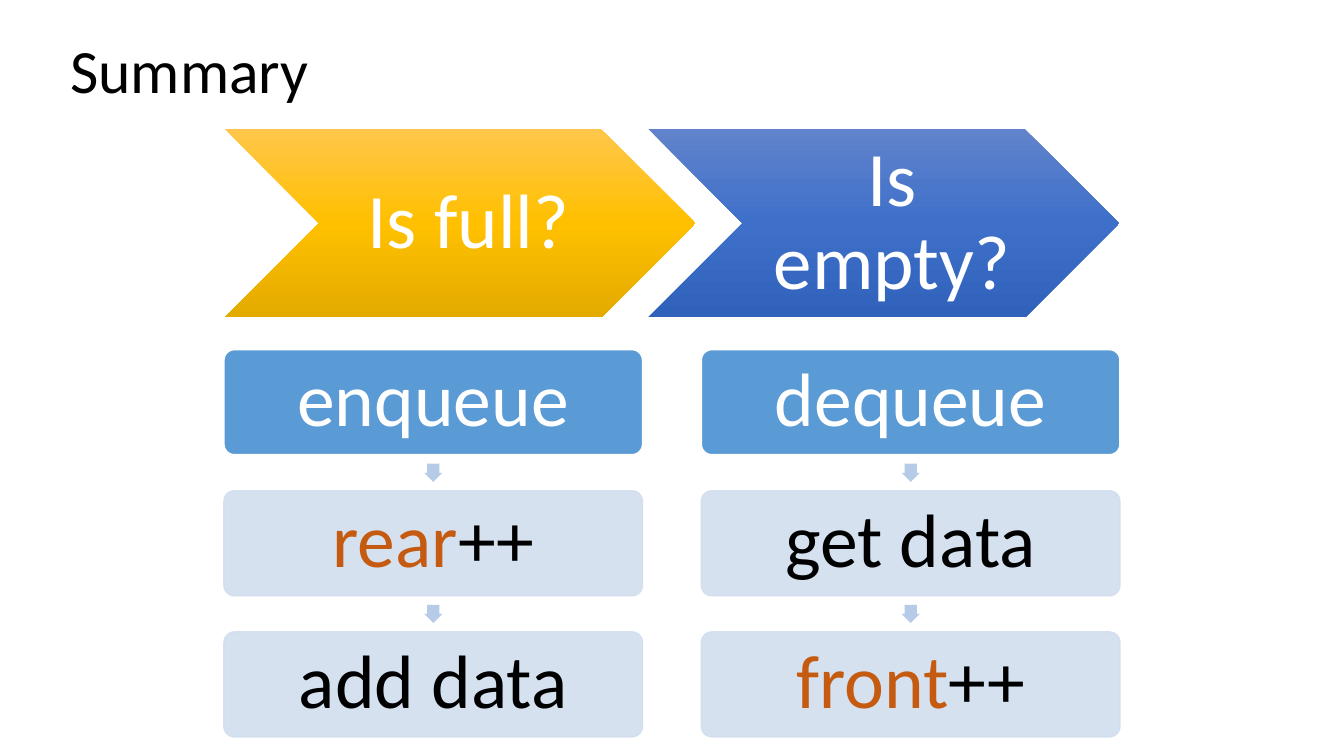
import copy
from dataclasses import dataclass

import pptx
import pptx.dml.color
import pptx.enum.shapes
import pptx.enum.text
import pptx.oxml
import pptx.oxml.ns
import pptx.util

Pt = pptx.util.Pt
KIND = pptx.enum.shapes.MSO_SHAPE
ALIGN = pptx.enum.text.PP_ALIGN


@dataclass
class Theme:
    """Colours, font and type sizes of the slide."""
    font: str = "Calibri"
    black: str = "000000"
    white: str = "FFFFFF"
    blue: str = "5B9BD5"
    pale: str = "D2DEEF"
    arrow: str = "B5CBE7"
    accent: str = "C55A11"
    gold: tuple = ("FFC64B", "FFC000", "E3AB00")
    navy: tuple = ("6183CB", "3E70CA", "3062BB")
    title: int = 44
    box: int = 54
    check: int = 55


def rgb(code):
    """Turn a hex code into a colour."""
    return pptx.dml.color.RGBColor.from_string(code)


def write(shape, runs, size, font, align=ALIGN.CENTER, pad=(5, 5, 5, 5)):
    """Write (text, colour) runs into a shape as one paragraph."""
    frame = shape.text_frame
    frame.word_wrap = True
    frame.vertical_anchor = pptx.enum.text.MSO_ANCHOR.MIDDLE
    (frame.margin_left, frame.margin_top,
     frame.margin_right, frame.margin_bottom) = map(Pt, pad)
    para = frame.paragraphs[0]
    para.alignment = align
    para.line_spacing = 0.9
    for text, code in runs:
        run = para.add_run()
        run.text = text
        run.font.name = font
        run.font.size = Pt(size)
        run.font.color.rgb = rgb(code)


class Board:
    """Draws the elements of one slide in one style."""

    def __init__(self, slide, theme):
        """Keep the slide and its theme."""
        self.slide = slide
        self.theme = theme

    def shape(self, kind, *area):
        """Add a plain shape without line or shadow."""
        shape = self.slide.shapes.add_shape(kind, *map(Pt, area))
        shape.shadow.inherit = False
        shape.line.fill.background()
        return shape

    def title(self, text, *area):
        """Add the slide title."""
        box = self.slide.shapes.add_textbox(*map(Pt, area))
        write(box, [(text, self.theme.black)], self.theme.title,
              self.theme.font, ALIGN.LEFT, (7.2, 3.6, 7.2, 3.6))

    def box(self, runs, fill, edge, alpha, *area):
        """Add a rounded box with text."""
        box = self.shape(KIND.ROUNDED_RECTANGLE, *area)
        box.adjustments[0] = 0.1
        box.fill.solid()
        box.fill.fore_color.rgb = rgb(fill)
        box.line.color.rgb = rgb(edge)
        box.line.width = Pt(1)
        if alpha < 100:
            for node in box._element.spPr.iter(pptx.oxml.ns.qn("a:srgbClr")):
                tag = f'<a:alpha {pptx.oxml.ns.nsdecls("a")} val="{alpha * 1000}"/>'
                node.append(pptx.oxml.parse_xml(tag))
        write(box, runs, self.theme.box, self.theme.font)

    def arrow(self, *area):
        """Add a small arrow that points down."""
        arrow = self.shape(KIND.RIGHT_ARROW, *area)
        arrow.rotation = 90
        arrow.adjustments[0] = 0.667
        arrow.adjustments[1] = 0.5
        arrow.fill.solid()
        arrow.fill.fore_color.rgb = rgb(self.theme.arrow)

    def check(self, text, codes, *area):
        """Add a chevron with a three-stop gradient."""
        check = self.shape(KIND.CHEVRON, *area)
        check.fill.gradient()
        check.fill.gradient_angle = 270
        first = next(check._element.spPr.iter(pptx.oxml.ns.qn("a:gs")))
        first.addnext(copy.deepcopy(first))
        for index, (stop, code) in enumerate(zip(check.fill.gradient_stops, codes)):
            stop.position = index / 2
            stop.color.rgb = rgb(code)
        write(check, [(text, self.theme.white)], self.theme.check,
              self.theme.font, pad=(17.3, 5.8, 5.8, 5.8))


def main():
    """Build the queue summary slide."""
    deck = pptx.Presentation()
    deck.slide_width, deck.slide_height = Pt(960), Pt(540)
    theme = Theme()
    board = Board(deck.slides.add_slide(deck.slide_layouts[6]), theme)
    board.title("Summary", 43.2, 0, 828, 104.4)

    left, top, wide, high = 160, 249.8, 299, 75
    step, pitch, tip = 341, 100.8, 13
    lists = [
        [[("enqueue", theme.white)],
         [("rear", theme.accent), ("++", theme.black)],
         [("add data", theme.black)]],
        [[("dequeue", theme.white)],
         [("get data", theme.black)],
         [("front", theme.accent), ("++", theme.black)]],
    ]
    for col, rows in enumerate(lists):
        x = left + col * step
        for row, runs in enumerate(rows):
            y = top + row * pitch
            if row:
                board.arrow(x + (wide - tip) / 2, y - (pitch - high + tip) / 2, tip, tip)
                look = theme.pale, theme.pale, 90
            else:
                look = theme.blue, theme.white, 100
            board.box(runs, *look, x, y, wide, high)

    checks = [("Is full?", theme.gold), ("Is empty?", theme.navy)]
    for col, (text, codes) in enumerate(checks):
        board.check(text, codes, 160.6 + col * 302.6, 92.2, 336.2, 134.6)
    deck.save("out.pptx")


if __name__ == "__main__":
    main()
